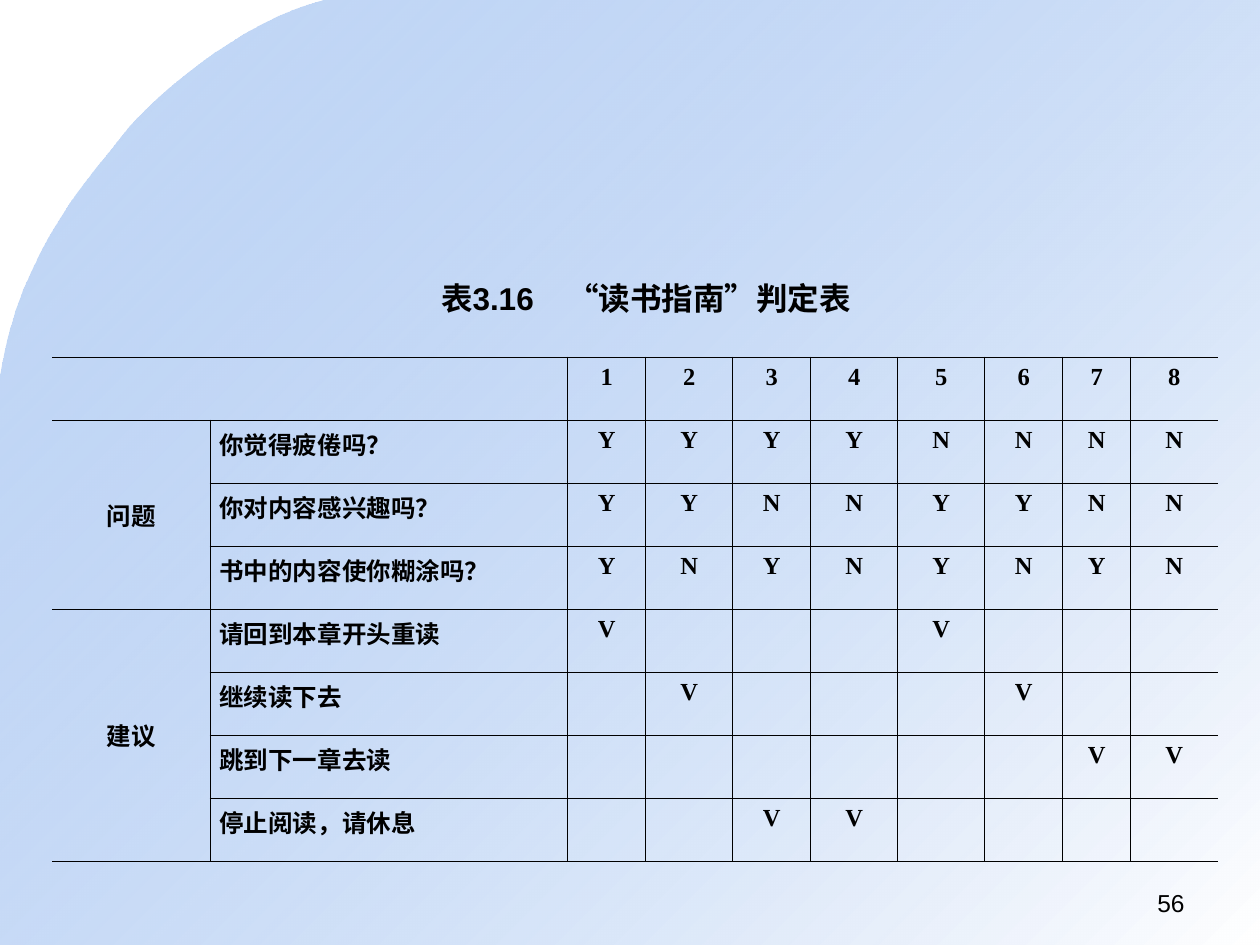
"""Build the reading-guide decision table slide."""
import lxml.etree
import pptx
import pptx.dml.color
import pptx.enum.dml
import pptx.enum.text
import pptx.oxml.ns
import pptx.util

Pt = pptx.util.Pt
ALIGN = pptx.enum.text.PP_ALIGN
ANCHOR = pptx.enum.text.MSO_ANCHOR
qn = pptx.oxml.ns.qn

COLORS = {"text": "000000", "rule": "000000", "sky": "699DE9", "white": "FFFFFF"}
TITLE = "表3.16\t“读书指南”判定表"
PAGE_NUMBER = "56"
RULES = ("", "", "12345678")
GROUPS = [
    ("问题", [
        ("你觉得疲倦吗？", "YYYYNNNN"),
        ("你对内容感兴趣吗？", "YYNNYYNN"),
        ("书中的内容使你糊涂吗？", "YNYNYNYN"),
    ]),
    ("建议", [
        ("请回到本章开头重读", "V   V   "),
        ("继续读下去", " V   V  "),
        ("跳到下一章去读", "      VV"),
        ("停止阅读，请休息", "  VV    "),
    ]),
]
COLUMN_WIDTHS = [90, 204.5, 44.5, 49.8, 44.5, 49.8, 49.8, 44.5, 38.9, 49.8]
ROW_HEIGHT = 36
TABLE_LEFT, TABLE_TOP = 30, 204
SLIDE_WIDTH, SLIDE_HEIGHT = 720, 540
CORNER_START = (185.8, 0)
CORNER_CURVES = [
    [(136.8, 11.5), (83.5, 59.8), (70.6, 77)],
    [(57.6, 95), (11.5, 139.7), (0, 216.7)],
]
CURVE_STEPS = 16
NO_STYLE_NO_GRID = "{2D5ABB26-0587-4C30-8999-92F81FD0307C}"
BODY_FORMAT = {"size": Pt(14), "bold": True, "name": "Times New Roman"}
TITLE_FORMAT = {"size": Pt(18), "bold": True, "name": "Arial"}
NUMBER_FORMAT = {"size": Pt(14), "bold": False, "name": "Arial"}


def assign(target, values):
    for name, value in values.items():
        setattr(target, name, value)


def rgb(key):
    return pptx.dml.color.RGBColor.from_string(COLORS[key])


def write(frame, text, font_format, paragraph_format):
    paragraph = frame.paragraphs[0]
    run = paragraph.add_run()
    run.text = text
    assign(paragraph, paragraph_format)
    assign(run.font, font_format)
    run.font.color.rgb = rgb("text")
    return paragraph


def curve_points(start, curves):
    for control_1, control_2, end in curves:
        for step in range(1, CURVE_STEPS + 1):
            t = step / CURVE_STEPS
            weights = ((1 - t) ** 3, 3 * t * (1 - t) ** 2, 3 * t * t * (1 - t), t ** 3)
            corners = (start, control_1, control_2, end)
            yield tuple(Pt(sum(w * c[axis] for w, c in zip(weights, corners)))
                        for axis in (0, 1))
        start = end


def add_backdrop(slide):
    builder = slide.shapes.build_freeform(*map(Pt, CORNER_START))
    builder.add_line_segments(list(curve_points(CORNER_START, CORNER_CURVES)), close=False)
    edges = [(0, SLIDE_HEIGHT), (SLIDE_WIDTH, SLIDE_HEIGHT), (SLIDE_WIDTH, 0)]
    builder.add_line_segments([(Pt(x), Pt(y)) for x, y in edges], close=True)
    backdrop = builder.convert_to_shape()
    backdrop.shadow.inherit = False
    backdrop.line.fill.background()
    backdrop.fill.gradient()
    backdrop.fill.gradient_angle = 315
    for stop, key, position in zip(backdrop.fill.gradient_stops, ("sky", "white"), (0, 1)):
        stop.color.rgb = rgb(key)
        stop.position = position
    sky = next(backdrop._element.iter(qn("a:srgbClr")))
    lxml.etree.SubElement(sky, qn("a:alpha"), val="39000")
    slide.shapes._spTree.insert(2, backdrop._element)


def add_title(slide):
    title = slide.shapes.title
    assign(title, {"left": Pt(244.8), "top": Pt(156), "width": Pt(258), "height": Pt(29)})
    frame = title.text_frame
    assign(frame, {"word_wrap": True, "vertical_anchor": ANCHOR.TOP,
                   "auto_size": pptx.enum.text.MSO_AUTO_SIZE.NONE})
    paragraph = write(frame, TITLE, TITLE_FORMAT, {"alignment": ALIGN.LEFT})
    tabs = lxml.etree.SubElement(paragraph._p.get_or_add_pPr(), qn("a:tabLst"))
    lxml.etree.SubElement(tabs, qn("a:tab"), pos=str(Pt(72)), algn="l")


def set_borders(cell, hidden_side):
    properties = cell._tc.get_or_add_tcPr()
    for index, side in enumerate(("L", "R", "T", "B")):
        border = lxml.etree.Element(qn("a:ln" + side), w=str(Pt(0.45)))
        if side == hidden_side:
            lxml.etree.SubElement(border, qn("a:noFill"))
        else:
            fill = lxml.etree.SubElement(border, qn("a:solidFill"))
            lxml.etree.SubElement(fill, qn("a:srgbClr"), val=COLORS["rule"])
        properties.insert(index, border)


def add_decision_table(slide):
    rows = [RULES]
    spans = [(0, 0, 0, 1)]
    for group, entries in GROUPS:
        spans.append((len(rows), 0, len(rows) + len(entries) - 1, 0))
        for index, (label, marks) in enumerate(entries):
            rows.append(("" if index else group, label, marks))
    last = len(COLUMN_WIDTHS) - 1
    table = slide.shapes.add_table(
        len(rows), last + 1, Pt(TABLE_LEFT), Pt(TABLE_TOP),
        Pt(sum(COLUMN_WIDTHS)), Pt(ROW_HEIGHT * len(rows))).table
    assign(table, {"first_row": False, "horz_banding": False})
    next(table._tbl.iter(qn("a:tableStyleId"))).text = NO_STYLE_NO_GRID
    for column, width in zip(table.columns, COLUMN_WIDTHS):
        column.width = Pt(width)
    for row_index, (group, label, marks) in enumerate(rows):
        table.rows[row_index].height = Pt(ROW_HEIGHT)
        for column_index, text in enumerate((group, label, *marks)):
            cell = table.cell(row_index, column_index)
            assign(cell, {
                "margin_left": Pt(5.4), "margin_right": Pt(5.4),
                "margin_top": Pt(3.6), "margin_bottom": Pt(3.6),
                "vertical_anchor": ANCHOR.TOP if column_index else ANCHOR.MIDDLE})
            cell.fill.background()
            set_borders(cell, {0: "L", last: "R"}.get(column_index))
            if text.strip():
                write(cell.text_frame, text, BODY_FORMAT, {
                    "alignment": ALIGN.JUSTIFY if column_index == 1 else ALIGN.CENTER,
                    "space_before": Pt(1.2), "space_after": Pt(1.2)})
    for top, left, bottom, right in spans:
        table.cell(top, left).merge(table.cell(bottom, right))


def add_page_number(slide):
    number = slide.shapes.add_textbox(Pt(516), Pt(504), Pt(168), Pt(25))
    number.text_frame.word_wrap = True
    write(number.text_frame, PAGE_NUMBER, NUMBER_FORMAT, {"alignment": ALIGN.RIGHT})


def main():
    deck = pptx.Presentation()
    assign(deck, {"slide_width": Pt(SLIDE_WIDTH), "slide_height": Pt(SLIDE_HEIGHT)})
    slide = deck.slides.add_slide(deck.slide_layouts[5])
    add_backdrop(slide)
    add_decision_table(slide)
    add_title(slide)
    add_page_number(slide)
    deck.save("out.pptx")


if __name__ == "__main__":
    main()
